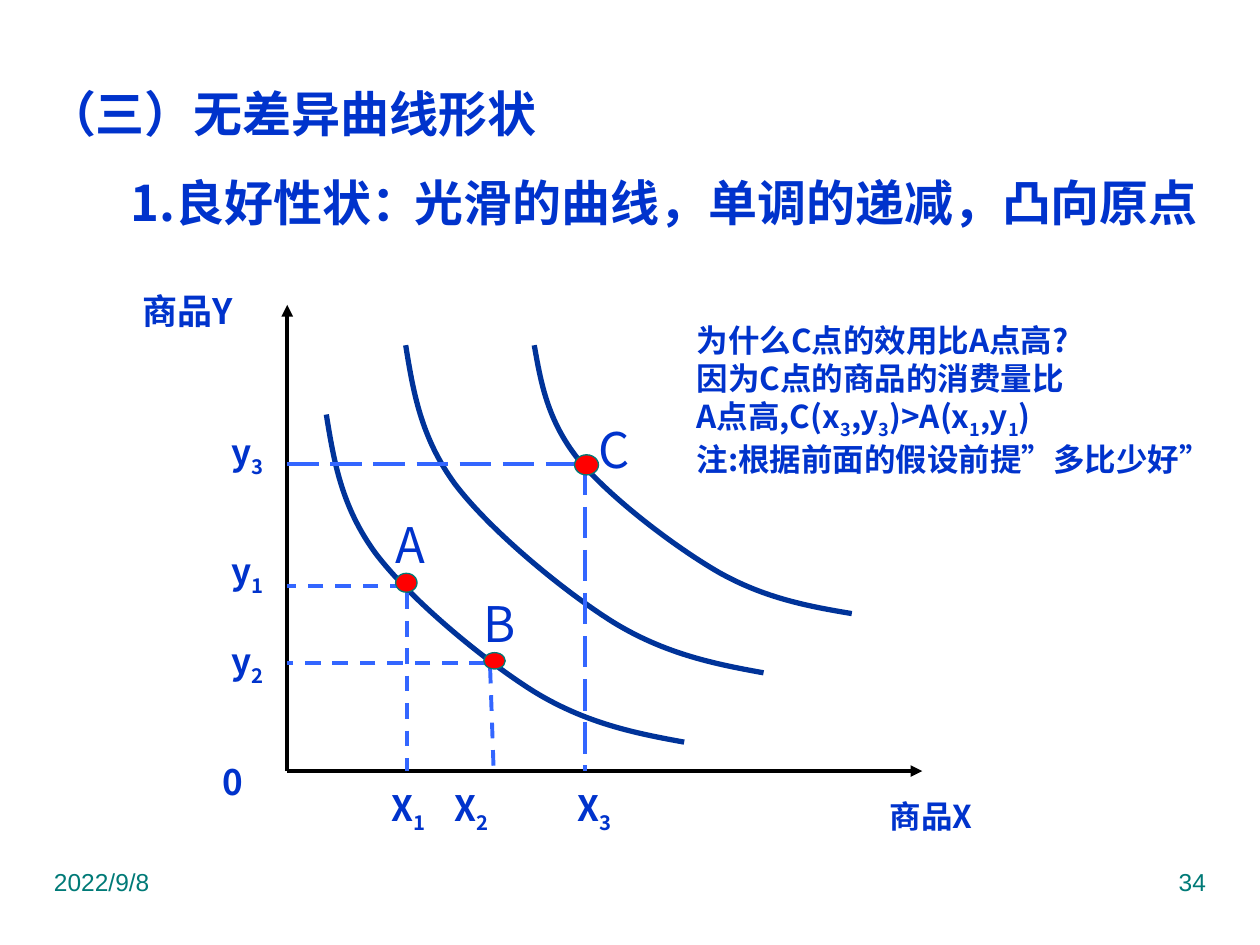
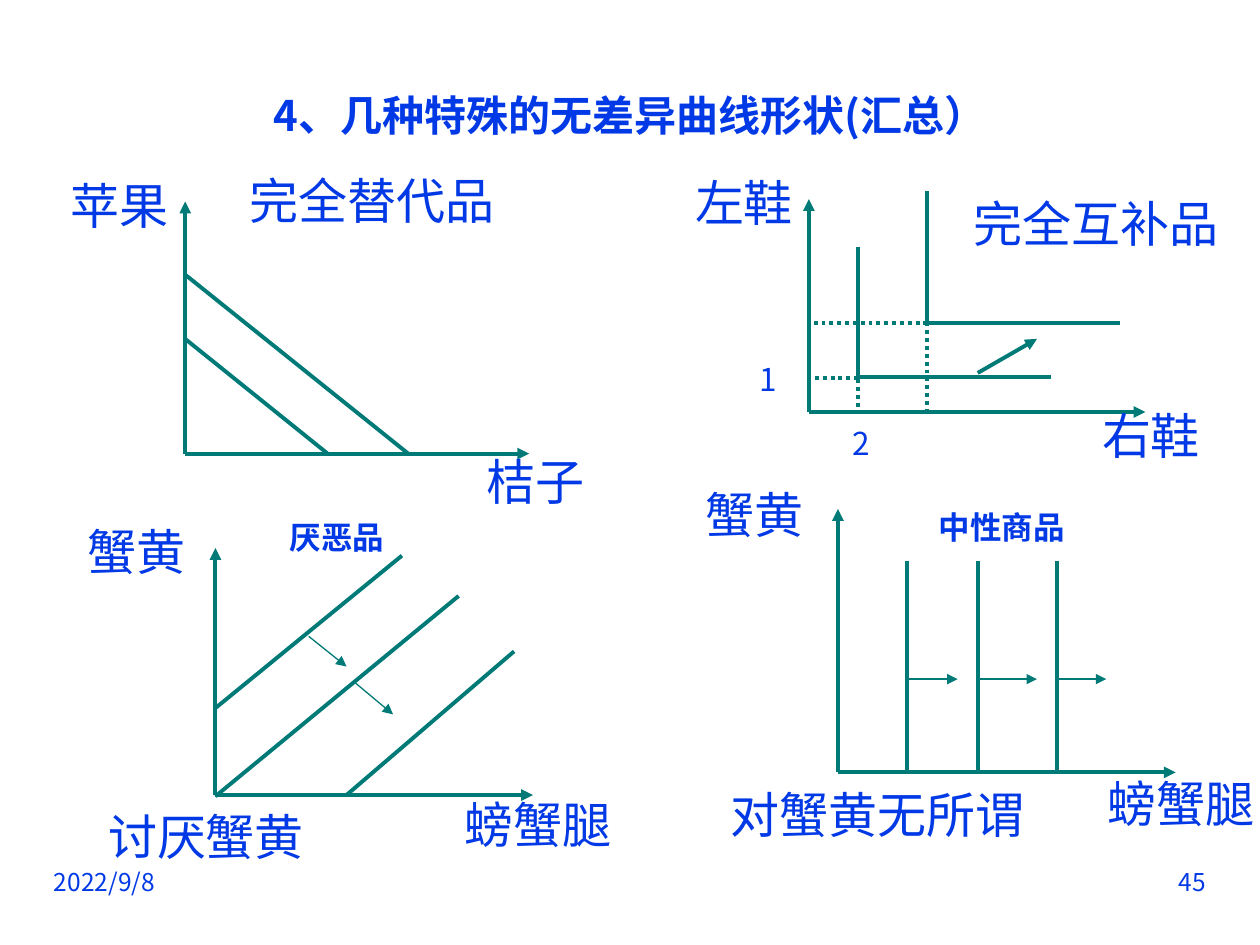
"""Two slides on the shape of indifference curves: the well-behaved case and four special cases."""
from lxml.etree import SubElement
from pptx import Presentation
from pptx.dml.color import RGBColor
from pptx.enum.dml import MSO_LINE
from pptx.enum.shapes import MSO_CONNECTOR, MSO_SHAPE
from pptx.enum.text import MSO_ANCHOR, MSO_AUTO_SIZE, PP_ALIGN
from pptx.oxml.ns import qn
from pptx.util import Inches, Pt

COLORS = {
    "ink": "0033CC", "bright": "0039E5", "teal": "007A77", "axis": "000000",
    "curve": "003399", "guide": "3366FF", "point": "FF0000",
}
CJK = "Noto Sans CJK SC"


def write(shape, text, size, color, bold=False, align=PP_ALIGN.CENTER,
          anchor=MSO_ANCHOR.MIDDLE, wrap=False, font=CJK):
    """Fill a shape with formatted lines, where _ lowers the next character."""
    frame = shape.text_frame
    frame.auto_size = MSO_AUTO_SIZE.NONE
    frame.word_wrap = wrap
    frame.vertical_anchor = anchor
    for index, line in enumerate(text.split("\n")):
        paragraph = frame.add_paragraph() if index else frame.paragraphs[0]
        paragraph.alignment = align
        first, *lowered = line.split("_")
        pieces = [(first, False)]
        for part in lowered:
            pieces += [(part[0], True), (part[1:], False)]
        for piece, is_subscript in pieces:
            if not piece:
                continue
            run = paragraph.add_run()
            run.text = piece
            run.font.size = Pt(size)
            run.font.bold = bold
            run.font.color.rgb = RGBColor.from_string(COLORS[color])
            run.font.name = font
            properties = run._r.get_or_add_rPr()
            SubElement(properties, qn("a:ea")).set("typeface", font)
            if is_subscript:
                properties.set("baseline", "-25000")


def draw_line(shapes, ends, color, width=2.25, dash=None, arrow=False):
    """Draw a straight line from (x1, y1) to (x2, y2), in inches."""
    line = shapes.add_connector(MSO_CONNECTOR.STRAIGHT, *map(Inches, ends))
    line.line.color.rgb = RGBColor.from_string(COLORS[color])
    line.line.width = Pt(width)
    if dash:
        line.line.dash_style = dash
    properties = line._element.spPr
    if arrow:
        SubElement(properties.find(qn("a:ln")), qn("a:tailEnd")).set("type", "triangle")
    SubElement(properties, qn("a:effectLst"))


prs = Presentation()
prs.slide_width, prs.slide_height = Inches(10), Inches(7.5)

pages = [
    ("（三）无差异曲线形状", (0.23, 0.62, 4.17, 0.55), 28, "ink", False, "34", "teal", "Arial"),
    ("4、几种特殊的无差异曲线形状(汇总）", (0.33, 0.67, 9.34, 0.48), 24, "bright", True, "45", "bright", CJK),
]
slides = []
for heading, box, size, color, wrap, number, footer_color, footer_font in pages:
    slide = prs.slides.add_slide(prs.slide_layouts[5])
    title = slide.shapes.title
    title.left, title.top, title.width, title.height = map(Inches, box)
    write(title, heading, size, color, bold=True, wrap=wrap)
    for text, left, align in [("2022/9/8", 0.33, PP_ALIGN.LEFT), (number, 7.17, PP_ALIGN.RIGHT)]:
        footer = slide.shapes.add_textbox(Inches(left), Inches(6.83), Inches(2.5), Inches(0.52))
        write(footer, text, 14, footer_color, align=align, anchor=MSO_ANCHOR.TOP,
              wrap=True, font=footer_font)
    slides.append(slide)

shapes = slides[0].shapes
origin_x, origin_y = 2.28, 6.12
for tip in [(7.32, origin_y), (origin_x, 2.42)]:
    draw_line(shapes, (origin_x, origin_y, *tip), "axis", arrow=True)

bends = [
    (0, 0), (0.06, 0.37), (0.12, 0.73), (0.39, 1.10), (0.67, 1.47),
    (1.25, 1.95), (1.65, 2.20), (2.06, 2.45), (2.45, 2.53), (2.84, 2.60),
]
for left, top, width, height in [(2.59, 3.29, 2.84, 2.6), (3.22, 2.74, 2.84, 2.6), (4.24, 2.74, 2.52, 2.13)]:
    points = [(Inches(left + x * width / 2.84), Inches(top + y * height / 2.6)) for x, y in bends]
    builder = shapes.build_freeform(*points[0])
    builder.add_line_segments(points[1:], close=False)
    indifference = builder.convert_to_shape()
    segments = list(indifference._element.iter(qn("a:lnTo")))
    for start in range(0, len(segments), 3):
        bend, *others = segments[start:start + 3]
        cubic = SubElement(bend.getparent(), qn("a:cubicBezTo"))
        for segment in (bend, *others):
            cubic.append(segment[0])
            segment.getparent().remove(segment)
    indifference.shadow.inherit = False
    indifference.fill.background()
    indifference.line.color.rgb = RGBColor.from_string(COLORS["curve"])
    indifference.line.width = Pt(3)

for ends, dash in [
    ((3.23, 4.71, 3.23, origin_y), MSO_LINE.DASH),
    ((3.22, 4.65, origin_x, 4.65), MSO_LINE.DASH),
    ((3.89, 5.3, 3.92, 6.17), MSO_LINE.DASH),
    ((3.85, 5.26, origin_x, 5.26), MSO_LINE.DASH),
    ((origin_x, 3.68, 4.64, 3.68), MSO_LINE.LONG_DASH),
    ((4.64, 3.68, 4.64, origin_y), MSO_LINE.LONG_DASH),
]:
    draw_line(shapes, ends, "guide", dash=dash)

for box in [(3.14, 4.55, 0.17, 0.15), (3.84, 5.18, 0.17, 0.13), (4.56, 3.61, 0.19, 0.16)]:
    bundle = shapes.add_shape(MSO_SHAPE.OVAL, *map(Inches, box))
    bundle.shadow.inherit = False
    bundle.fill.solid()
    bundle.fill.fore_color.rgb = RGBColor.from_string(COLORS["point"])
    bundle.line.color.rgb = RGBColor.from_string(COLORS["teal"])
    bundle.line.width = Pt(0.75)

for text, box, size in [
    ("1.良好性状：", (0.9, 1.32, 2.57, 0.57), 28),
    ("光滑的曲线，单调的递减，凸向原点", (3.12, 1.33, 6.56, 0.55), 28),
    ("商品X", (6.84, 6.2, 1.1, 0.55), 18),
    ("商品Y", (0.94, 2.19, 1.1, 0.55), 20),
    ("X_3", (4.48, 6.2, 0.47, 0.47), 20),
    ("y_3", (1.73, 3.37, 0.47, 0.47), 20),
]:
    write(shapes.add_textbox(*map(Inches, box)), text, size, "ink", bold=True)

lower_y = shapes.add_textbox(Inches(1.73), Inches(4.16), Inches(0.47), Inches(1.5))
write(lower_y, "y_1\ny_2", 20, "ink", bold=True)
lower_y.text_frame.paragraphs[1].space_before = Pt(24)

lower_x = shapes.add_textbox(Inches(3.01), Inches(6.2), Inches(1), Inches(0.47))
write(lower_x, "X_1\tX_2", 20, "ink", bold=True, align=PP_ALIGN.LEFT)
tabs = SubElement(lower_x.text_frame.paragraphs[0]._p.get_or_add_pPr(), qn("a:tabLst"))
SubElement(tabs, qn("a:tab"), pos=str(Inches(0.5)), algn="l")

explanation = shapes.add_textbox(Inches(5.43), Inches(2.42), Inches(2.99), Inches(1.5))
write(explanation,
      "为什么C点的效用比A点高?\n因为C点的商品的消费量比\n"
      "A点高,C(x_3,y_3)>A(x_1,y_1)\n注:根据前面的假设前提”多比少好”",
      18, "ink", bold=True, align=PP_ALIGN.LEFT)

names = [
    (shapes, "0", (1.57, 5.97, 0.55, 0.47), 20, "ink", True),
    (shapes, "A", (3.06, 4.08, 0.39, 0.47), 28, "ink", False),
    (shapes, "B", (3.77, 4.71, 0.39, 0.47), 28, "ink", False),
    (shapes, "C", (4.64, 3.37, 0.47, 0.39), 28, "ink", False),
    (slides[1].shapes, "2", (6.64, 3.36, 0.39, 0.31), 18, "bright", False),
]

cases = [
    {
        "origin": (1.47, 3.6), "reach": (4.2, 1.6),
        "curves": [(1.47, 2.69, 2.6, 3.6), (1.47, 2.18, 3.24, 3.6)],
        "goods": [("桔子", (3.97, 3.66, 0.56, 0.32)), ("苹果", (0.67, 1.47, 0.56, 0.32))],
        "captions": [("完全替代品", (2.24, 1.23, 1.42, 0.71), 28, False)],
    },
    {
        "origin": (1.71, 6.31), "reach": (4.23, 4.35),
        "curves": [(4.08, 5.17, 2.75, 6.31), (3.64, 4.73, 1.71, 6.32), (3.19, 4.41, 1.71, 5.62)],
        "shifts": [(2.45, 5.05, 2.75, 5.29), (2.82, 5.42, 3.12, 5.67)],
        "goods": [("螃蟹腿", (4.01, 6.38, 0.52, 0.32)), ("蟹黄", (0.82, 4.22, 0.52, 0.31))],
        "captions": [
            ("讨厌蟹黄", (0.67, 6.44, 1.93, 0.38), 28, False),
            ("厌恶品", (2.19, 4.06, 0.97, 0.4), 18, True),
        ],
    },
    {
        "origin": (6.65, 6.13), "reach": (9.33, 4.04),
        "curves": [(x, 4.45, x, 6.13) for x in (7.2, 7.76, 8.39)],
        "shifts": [(x, 5.39, tip, 5.39) for x, tip in [(7.2, 7.6), (7.76, 8.23), (8.39, 8.78)]],
        "goods": [("螃蟹腿", (9.1, 6.2, 0.55, 0.34)), ("蟹黄", (5.71, 3.91, 0.55, 0.34))],
        "captions": [
            ("对蟹黄无所谓", (5.94, 6.26, 2.05, 0.4), 28, False),
            ("中性商品", (7.34, 3.98, 1.22, 0.4), 18, True),
        ],
    },
    {
        "origin": (6.42, 3.27), "reach": (9.09, 1.58),
        "curves": [
            (6.81, 1.96, 6.81, 2.99), (6.81, 2.99, 8.34, 2.99),
            (7.36, 1.52, 7.36, 2.56), (7.36, 2.56, 8.89, 2.56),
        ],
        "guides": [
            (6.81, 3.01, 6.81, 3.27), (6.81, 3, 6.42, 3),
            (7.36, 2.56, 7.36, 3.27), (7.36, 2.56, 6.42, 2.56),
        ],
        "shifts": [(7.76, 2.96, 8.23, 2.69)], "shift_width": 2.25,
        "goods": [("右鞋", (8.86, 3.32, 0.55, 0.27)), ("左鞋", (5.63, 1.47, 0.55, 0.27))],
        "captions": [
            ("完全互补品", (7.99, 1.52, 1.42, 0.49), 28, False),
            ("1", (5.94, 2.88, 0.32, 0.26), 18, False),
        ],
    },
]
for case in cases:
    diagram = slides[1].shapes.add_group_shape().shapes
    (x0, y0), (right, top) = case["origin"], case["reach"]
    for tip in [(right, y0), (x0, top)]:
        draw_line(diagram, (x0, y0, *tip), "teal", arrow=True)
    for ends in case["curves"]:
        draw_line(diagram, ends, "teal")
    for ends in case.get("guides", []):
        draw_line(diagram, ends, "teal", dash=MSO_LINE.ROUND_DOT)
    for ends in case.get("shifts", []):
        draw_line(diagram, ends, "teal", case.get("shift_width", 0.75), arrow=True)
    for text, box, size, bold in case["captions"]:
        write(diagram.add_textbox(*map(Inches, box)), text, size, "bright", bold)
    names += [(diagram, text, box, 28, "bright", False) for text, box in case["goods"]]

for holder, text, box, size, color, bold in names:
    name = holder.add_shape(MSO_SHAPE.OVAL, *map(Inches, box))
    name.shadow.inherit = False
    name.fill.background()
    name.line.fill.background()
    write(name, text, size, color, bold)

prs.save("out.pptx")
